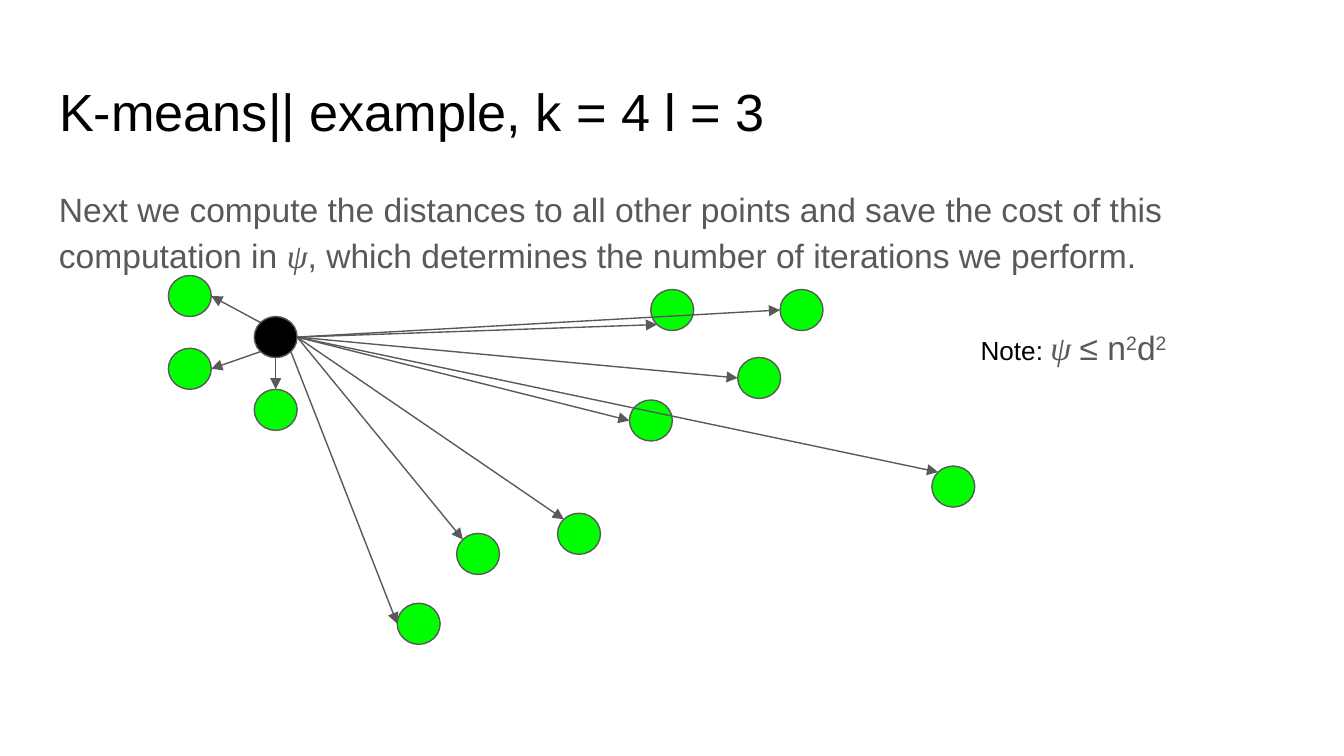
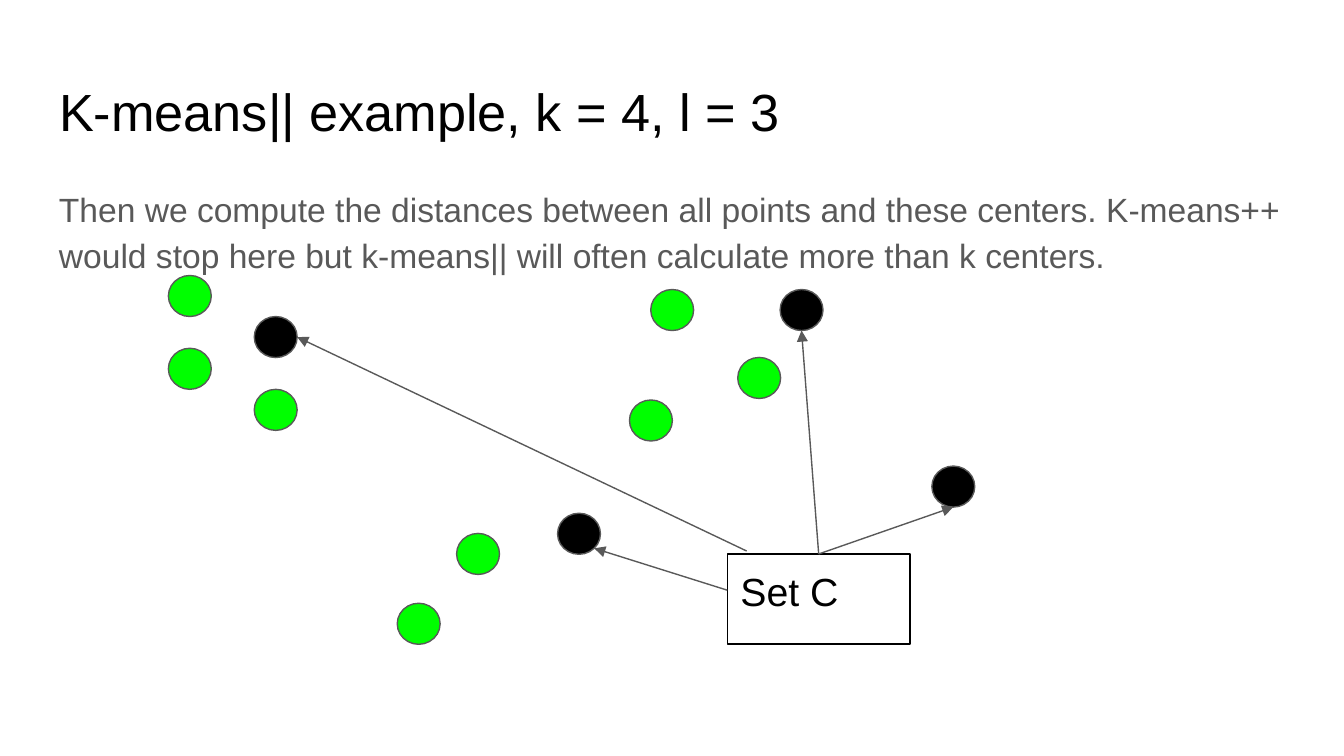
from math import cos, radians, sin

from lxml.etree import SubElement
from pptx import Presentation
from pptx.dml.color import RGBColor
from pptx.enum.shapes import MSO_CONNECTOR as Connector, MSO_SHAPE as Shape
from pptx.enum.text import MSO_ANCHOR as Anchor, MSO_AUTO_SIZE as AutoSize, PP_ALIGN as Align
from pptx.oxml.ns import qn
from pptx.util import Pt

BLACK, GREY, GREEN = "000000", "595959", "00FF00"
SANS, SERIF = "Arial", "Times New Roman"
LEFT, WIDTH = 24.5, 671
POINT_W, POINT_H = 23, 22

# Left and top of every data point, in points
POINTS = {
    "upper left": (90.2, 147.6), "lower left": (90.2, 186.6),
    "hub": (136.2, 169.6), "below hub": (136.2, 208.6),
    "upper middle": (348.6, 155.1), "lower middle": (337.2, 214.3),
    "inner right": (395.2, 191.5), "upper right": (417.9, 155.1),
    "bottom centre": (244.6, 285.8), "bottom right": (298.7, 275),
    "bottom left": (212.8, 323.2), "far right": (499.2, 249.7),
}

# Clockwise angle of each place where an arrow can meet a point
ANGLES = {"right": 0, "bottom right": 45, "bottom": 90, "bottom left": 135,
          "left": 180, "top left": 225, "top": 270}

# Hub side, target point, target side
DISTANCES = [
    ("top left", "upper left", "right"), ("bottom left", "lower left", "right"),
    ("bottom", "below hub", "top"), ("bottom right", "bottom left", "left"),
    ("right", "bottom centre", "top left"), ("right", "bottom right", "top left"),
    ("right", "lower middle", "left"), ("right", "far right", "top left"),
    ("right", "upper middle", "bottom left"), ("right", "upper right", "left"),
    ("right", "inner right", "left"),
]


def color(hex_value):
    return RGBColor.from_string(hex_value)


def rim(point, side):
    """Position on the outline of a data point."""
    left, top = POINTS[point]
    angle = radians(ANGLES[side])
    return (left + POINT_W / 2 * (1 + cos(angle)),
            top + POINT_H / 2 * (1 + sin(angle)))


class Deck:
    def __init__(self):
        self.prs = Presentation()
        self.prs.slide_width, self.prs.slide_height = Pt(720), Pt(405)
        self.slide = None

    def frame(self, shape):
        """Give a text frame the common insets and alignment."""
        frame = shape.text_frame
        frame.word_wrap = True
        frame.auto_size = AutoSize.NONE
        frame.vertical_anchor = Anchor.TOP
        frame.margin_left = frame.margin_right = Pt(7.2)
        frame.margin_top = frame.margin_bottom = Pt(7.2)
        frame.paragraphs[0].alignment = Align.LEFT
        return frame

    def style(self, run, size, tone=BLACK, name=SANS, italic=False):
        font = run.font
        font.size, font.name, font.italic = Pt(size), name, italic
        font.color.rgb = color(tone)

    def add_slide(self, title):
        self.slide = self.prs.slides.add_slide(self.prs.slide_layouts[5])
        heading = self.slide.shapes.title
        heading.left, heading.top = Pt(LEFT), Pt(35)
        heading.width, heading.height = Pt(WIDTH), Pt(45.1)
        heading.text_frame.text = title
        self.style(self.frame(heading).paragraphs[0].runs[0], 28)

    def text(self, left, top, width, height, pieces):
        """Pieces are (text, size, colour, font, superscript)."""
        box = self.slide.shapes.add_textbox(Pt(left), Pt(top), Pt(width), Pt(height))
        paragraph = self.frame(box).paragraphs[0]
        for words, size, tone, name, raised in pieces:
            run = paragraph.add_run()
            run.text = words
            self.style(run, size, tone, name, name == SERIF)
            if raised:
                run._r.get_or_add_rPr().set("baseline", "30000")
        return paragraph

    def body(self, *pieces):
        paragraph = self.text(LEFT, 90.7, WIDTH, 269.3, pieces)
        paragraph.line_spacing = 1.15
        paragraph.space_after = Pt(16)

    def outlined(self, kind, left, top, width, height, line):
        shape = self.slide.shapes.add_shape(kind, Pt(left), Pt(top), Pt(width), Pt(height))
        shape.shadow.inherit = False
        shape.line.color.rgb = color(line)
        shape.line.width = Pt(0.75)
        return shape

    def points(self, centers):
        for point, (left, top) in POINTS.items():
            dot = self.outlined(Shape.OVAL, left, top, POINT_W, POINT_H, GREY)
            dot.fill.solid()
            dot.fill.fore_color.rgb = color(BLACK if point in centers else GREEN)

    def label(self, words, left, top, width, height):
        box = self.outlined(Shape.RECTANGLE, left, top, width, height, BLACK)
        box.fill.background()
        box.text_frame.text = words
        self.style(self.frame(box).paragraphs[0].runs[0], 21)
        return box

    def arrow(self, start, end):
        ends = [Pt(value) for value in (*start, *end)]
        arrow = self.slide.shapes.add_connector(Connector.STRAIGHT, *ends)
        arrow.line.color.rgb = color(GREY)
        arrow.line.width = Pt(0.75)
        SubElement(arrow.line._get_or_add_ln(), qn("a:tailEnd"), type="triangle")
        SubElement(arrow._element.spPr, qn("a:effectLst"))
        return arrow


def grey(words, name=SANS, raised=False):
    return words, 18, GREY, name, raised


def main():
    deck = Deck()

    # Distances from the first center
    deck.add_slide("K-means|| example, k = 4 l = 3")
    deck.body(
        grey("Next we compute the distances to all other points and save the cost "
             "of this computation in "),
        grey("ψ", SERIF),
        grey(", which determines the number of iterations we perform."))
    deck.points({"hub"})
    for hub_side, target, side in DISTANCES:
        deck.arrow(rim("hub", hub_side), rim(target, side))
    deck.text(518.2, 167.9, 143.3, 57.6, [
        ("Note: ", 14, BLACK, SANS, False), grey("ψ ", SERIF), grey("≤ n"),
        grey("2", raised=True), grey("d"), grey("2", raised=True)])

    # The set of chosen centers
    deck.add_slide("K-means|| example, k = 4, l = 3")
    deck.body(grey("Then we compute the distances between all points and these centers. "
                   "K-means++ would stop here but k-means|| will often calculate "
                   "more than k centers."))
    deck.points({"hub", "upper right", "bottom right", "far right"})
    left, top, width, height = 389.6, 296.8, 98, 48.2
    set_c = deck.label("Set C", left, top, width, height)
    top_middle = (left + width / 2, top)
    deck.arrow((left, 316.2), rim("bottom right", "bottom right"))
    deck.arrow((400, 295.2), rim("hub", "right"))
    for center in ("far right", "upper right"):
        deck.arrow(top_middle, rim(center, "bottom")).begin_connect(set_c, 0)

    deck.prs.save("out.pptx")


if __name__ == "__main__":
    main()
